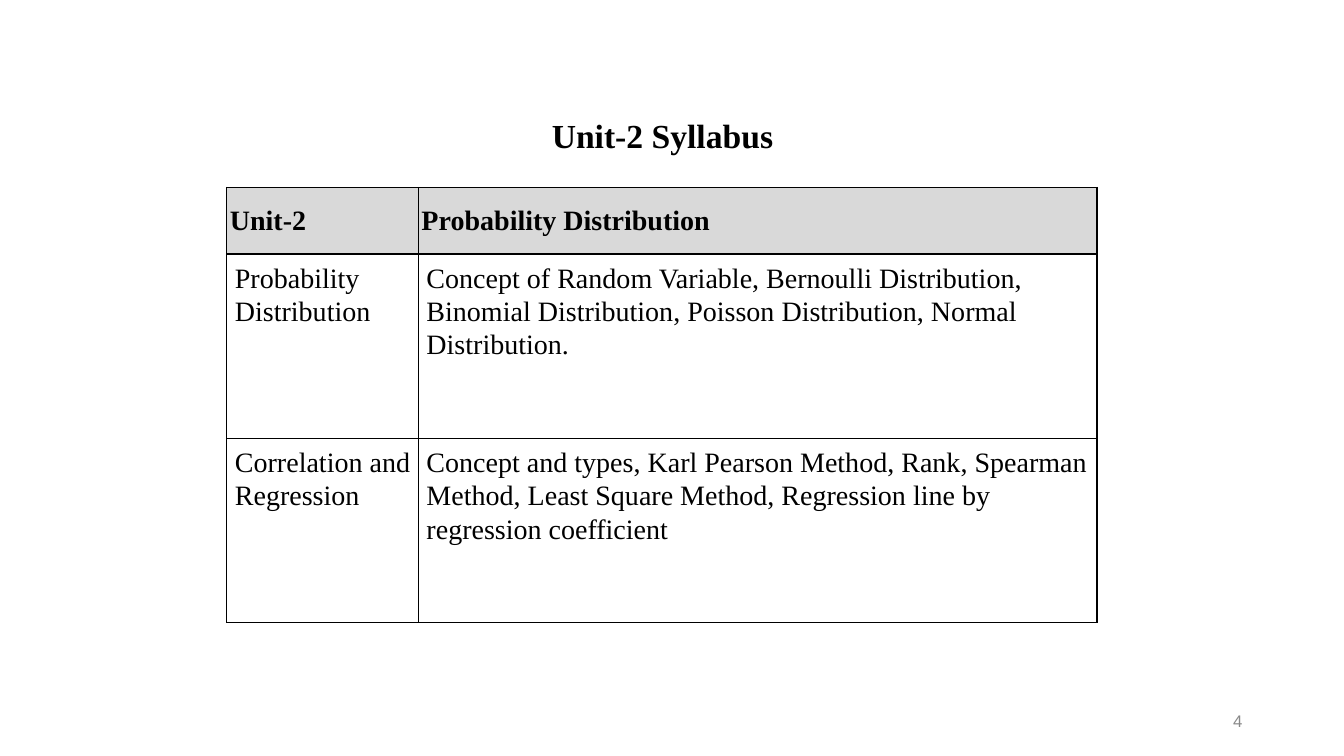
"""Builds the Unit-2 syllabus slide."""
from lxml import etree
from pptx import Presentation
from pptx.dml.color import RGBColor
from pptx.enum import text
from pptx.oxml import ns
from pptx.util import Inches, Pt

SERIF = "Times New Roman"
BLACK = "000000"
COLUMN_WIDTHS = (1.9, 6.73)
ROW_HEIGHTS = (0.66, 1.83, 1.83)
SYLLABUS = (
    ("Unit-2", "Probability Distribution"),
    ("Probability Distribution",
     "Concept of Random Variable, Bernoulli Distribution, Binomial Distribution, "
     "Poisson Distribution, Normal Distribution."),
    ("Correlation and Regression",
     "Concept and types, Karl Pearson Method, Rank, Spearman Method, "
     "Least Square Method, Regression line by regression coefficient"),
)


def color(value):
    """Turn a hex string into a colour."""
    return RGBColor.from_string(value)


def write(frame, words, size, align, font=SERIF, ink=BLACK, bold=False):
    """Write one formatted paragraph into a text frame and return it."""
    frame.text = words
    frame.word_wrap = True
    para = frame.paragraphs[0]
    para.alignment = align
    span = para.runs[0]
    span.font.name = font
    span.font.size = Pt(size)
    span.font.bold = bold
    span.font.color.rgb = color(ink)
    return para


def add_label(page, box, words, size, align, **style):
    """Add a vertically centred text box and return its paragraph."""
    frame = page.shapes.add_textbox(*map(Inches, box)).text_frame
    frame.vertical_anchor = text.MSO_ANCHOR.MIDDLE
    return write(frame, words, size, align, **style)


def outline(cell):
    """Draw a thin black border on every side of a cell."""
    properties = cell._tc.get_or_add_tcPr()
    for index, side in enumerate(("lnL", "lnR", "lnT", "lnB")):
        line = etree.Element(ns.qn(f"a:{side}"), w=str(Pt(1)))
        fill = etree.SubElement(line, ns.qn("a:solidFill"))
        etree.SubElement(fill, ns.qn("a:srgbClr"), val=BLACK)
        properties.insert(index, line)


def fill_cell(cell, words, is_header):
    """Fill and format one header or body cell."""
    side, end = (0.03, 0.03) if is_header else (0.08, 0.07)
    cell.margin_left = cell.margin_right = Inches(side)
    cell.margin_top = cell.margin_bottom = Inches(end)
    align = text.PP_ALIGN.JUSTIFY if is_header else text.PP_ALIGN.LEFT
    para = write(cell.text_frame, words, 20, align, bold=is_header)
    if is_header:
        cell.vertical_anchor = text.MSO_ANCHOR.MIDDLE
        cell.fill.solid()
        cell.fill.fore_color.rgb = color("D9D9D9")
    else:
        cell.vertical_anchor = text.MSO_ANCHOR.TOP
        para.line_spacing = 1.07
        para.space_after = Pt(8)
        cell.fill.background()
    outline(cell)


def add_syllabus(page, left, top):
    """Add the syllabus table with its top left corner at the given place."""
    size = (sum(COLUMN_WIDTHS), sum(ROW_HEIGHTS))
    table = page.shapes.add_table(
        len(ROW_HEIGHTS), len(COLUMN_WIDTHS), *map(Inches, (left, top, *size))).table
    table.horz_banding = False
    for column, width in zip(table.columns, COLUMN_WIDTHS):
        column.width = Inches(width)
    for number, (row, height) in enumerate(zip(table.rows, ROW_HEIGHTS)):
        row.height = Inches(height)
        for cell, words in zip(row.cells, SYLLABUS[number]):
            fill_cell(cell, words, number == 0)


def main():
    """Build and save the slide."""
    deck = Presentation()
    deck.slide_width, deck.slide_height = Inches(13.33), Inches(7.5)
    page = deck.slides.add_slide(deck.slide_layouts[6])
    title = add_label(page, (2.26, 1.02, 8.62, 0.7), "Unit-2 Syllabus", 24,
                      text.PP_ALIGN.CENTER, bold=True)
    title.line_spacing = 0.9
    add_label(page, (9.42, 6.95, 3, 0.4), "4", 12, text.PP_ALIGN.RIGHT,
              font="Arial", ink="898989")
    add_syllabus(page, 2.25, 1.86)
    deck.save("out.pptx")


if __name__ == "__main__":
    main()
